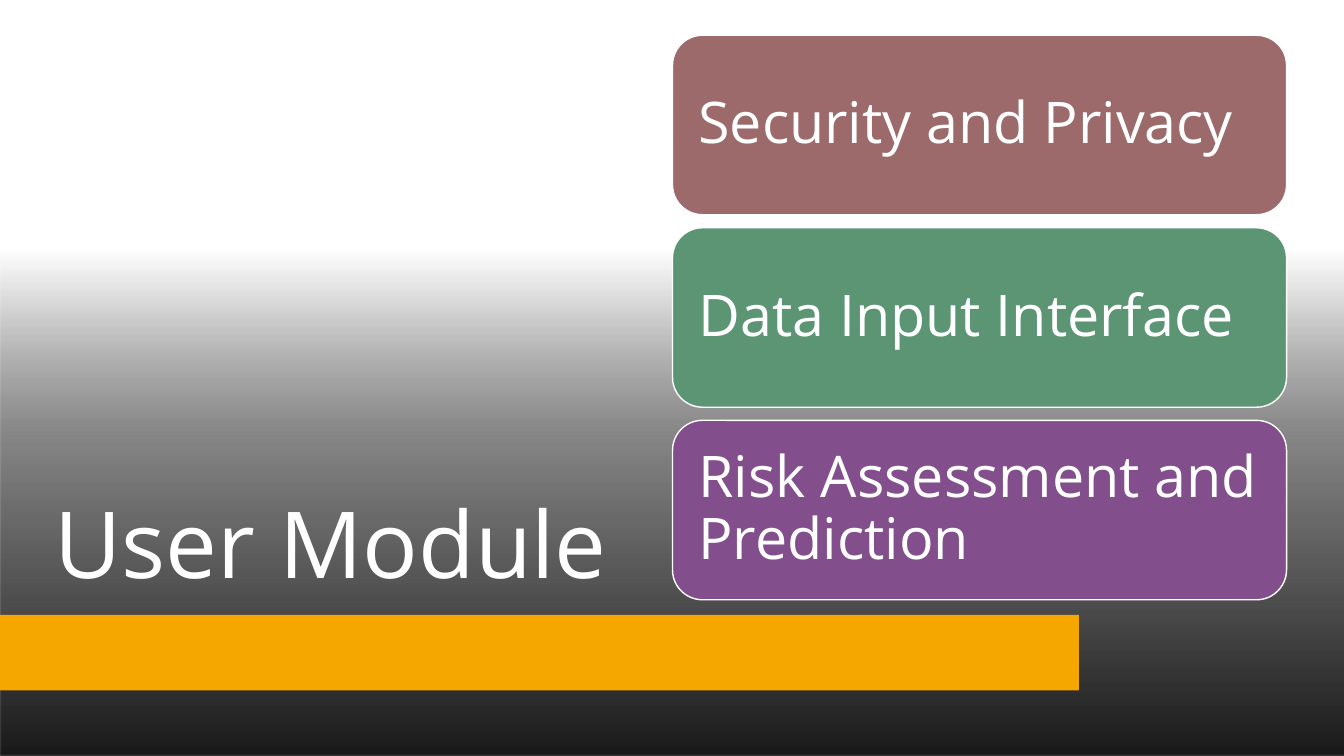
import pptx
import pptx.dml.color
import pptx.enum.shapes
import pptx.enum.text
import pptx.oxml
import pptx.oxml.ns
import pptx.util
from pptx.util import Inches

SHAPE = pptx.enum.shapes.MSO_SHAPE
ANCHOR = pptx.enum.text.MSO_ANCHOR


def color(hex_code):
    return pptx.dml.color.RGBColor.from_string(hex_code)


def write(shape, text, size, anchor, margin=0.1, space_after=0):
    frame = shape.text_frame
    frame.word_wrap = True
    frame.auto_size = pptx.enum.text.MSO_AUTO_SIZE.NONE
    frame.vertical_anchor = anchor
    frame.margin_left = frame.margin_right = Inches(margin)
    paragraph = frame.paragraphs[0]
    paragraph.alignment = pptx.enum.text.PP_ALIGN.LEFT
    paragraph.line_spacing = 0.9
    paragraph.space_after = pptx.util.Pt(space_after)
    run = paragraph.add_run()
    run.text = text
    run.font.name = "Open Sans"
    run.font.size = pptx.util.Pt(size)
    run.font.color.rgb = color("FFFFFF")


presentation = pptx.Presentation()
presentation.slide_width = Inches(13.33)
presentation.slide_height = Inches(7.5)
slide = presentation.slides.add_slide(presentation.slide_layouts[5])
shapes = slide.shapes

backdrop = shapes.add_shape(SHAPE.RECTANGLE, 0, 0, Inches(13.33), Inches(7.5))
backdrop.shadow.inherit = False
backdrop.fill.solid()
backdrop.fill.fore_color.rgb = color("FFFFFF")
backdrop.line.fill.background()

# Black fade that grows denser towards the bottom of the slide
fade = shapes.add_shape(SHAPE.RECTANGLE, Inches(4.16), Inches(-1.68), Inches(5.02), Inches(13.33))
fade.rotation = 270
fade.shadow.inherit = False
fade.line.fill.background()
fade.fill.gradient()
fade.fill.gradient_angle = 180
stops = fade._element.spPr.find(".//" + pptx.oxml.ns.qn("a:gsLst"))
for stop in list(stops):
    stops.remove(stop)
for position, opacity in [(0, 0), (21, 30), (35, 46), (100, 90)]:
    stops.append(pptx.oxml.parse_xml(
        f'<a:gs {pptx.oxml.ns.nsdecls("a")} pos="{position * 1000}">'
        f'<a:srgbClr val="000000"><a:alpha val="{opacity * 1000}"/></a:srgbClr></a:gs>'))

title = shapes.title
title.left, title.top = Inches(0.44), Inches(3.38)
title.width, title.height = Inches(9.93), Inches(2.61)
write(title, "User Module", 66, ANCHOR.BOTTOM, space_after=6)
shapes._spTree.append(title._element)  # bring the title in front of the fade

accent_bar = shapes.add_shape(SHAPE.RECTANGLE, 0, Inches(6.1), Inches(10.7), Inches(0.75))
accent_bar.shadow.inherit = False
accent_bar.fill.solid()
accent_bar.fill.fore_color.rgb = color("F5A700")
accent_bar.line.fill.background()

features = [
    ("Security and Privacy", "9C6A6A"),
    ("Data Input Interface", "5B9574"),
    ("Risk Assessment and Prediction", "824F8C"),
]
for row, (feature, fill) in enumerate(features):
    card = shapes.add_shape(SHAPE.ROUNDED_RECTANGLE, Inches(6.67), Inches(0.35 + 1.91 * row),
                            Inches(6.09), Inches(1.78))
    card.shadow.inherit = False
    card.fill.solid()
    card.fill.fore_color.rgb = color(fill)
    card.line.color.rgb = color("FFFFFF")
    card.line.width = pptx.util.Pt(1)
    write(card, feature, 41, ANCHOR.MIDDLE, margin=0.17)

presentation.save("out.pptx")
